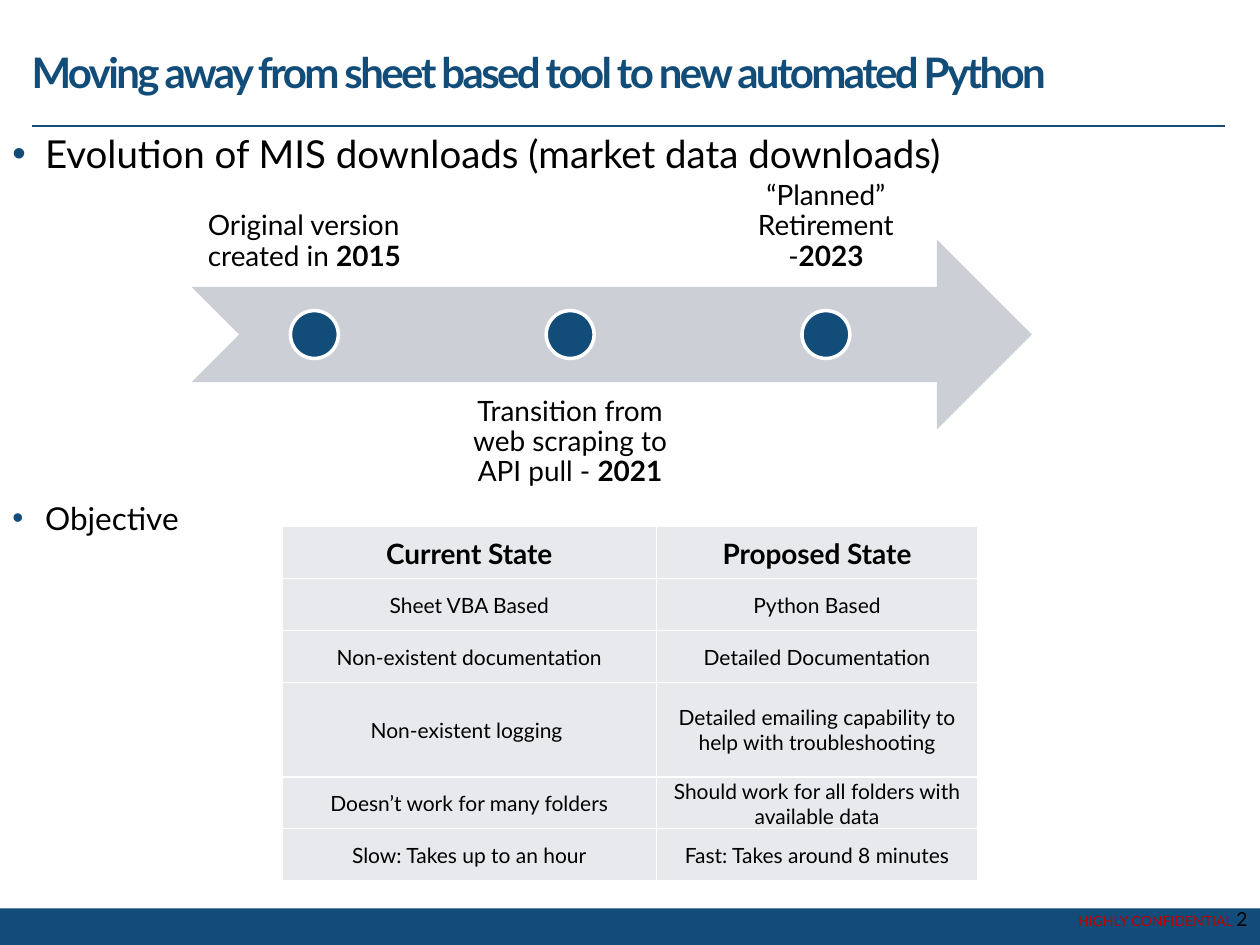
"""Build the slide on moving the market data downloads from sheets to Python."""
from lxml.etree import SubElement
from pptx import Presentation
from pptx.dml.color import RGBColor
from pptx.enum.shapes import MSO_CONNECTOR, MSO_SHAPE
from pptx.enum.text import MSO_ANCHOR, MSO_AUTO_SIZE, PP_ALIGN
from pptx.oxml.ns import qn
from pptx.util import Inches, Pt

NAVY, GREY, PALE, RED, BLACK, WHITE = "124C78", "CCD0D6", "E7E9EC", "C00000", "000000", "FFFFFF"
rgb = RGBColor.from_string

prs = Presentation()
prs.slide_width, prs.slide_height = Inches(10), Inches(7.5)
UNIT = prs.slide_width / 100


def grid(*cells):
    """Turn columns and rows, 100 by 75 to the slide, into lengths."""
    return [round(c * UNIT) for c in cells]


def add_run(p, text, size, color=BLACK, bold=False):
    """Append one formatted run to a paragraph."""
    r = p.add_run()
    r.text = text
    r.font.name, r.font.size, r.font.bold = "Lato", Pt(size), bold
    r.font.color.rgb = rgb(color)
    return r


s = prs.slides.add_slide(prs.slide_layouts[5])

title = s.shapes.title
title.left, title.top, title.width, title.height = grid(2.5, 1.4, 94.6, 8.6)
tf = title.text_frame
tf.margin_left = tf.margin_right = tf.margin_top = tf.margin_bottom = 0
tf.vertical_anchor, tf.auto_size, tf.word_wrap = MSO_ANCHOR.MIDDLE, MSO_AUTO_SIZE.NONE, True
p = tf.paragraphs[0]
p.alignment = PP_ALIGN.LEFT
r = add_run(p, "Moving away from sheet based tool to new automated Python", 24, NAVY, True)
r.font._element.set("spc", "-150")

rule = s.shapes.add_connector(MSO_CONNECTOR.STRAIGHT, *grid(2.5, 10, 97.2, 10))
rule.line.color.rgb, rule.line.width = rgb(NAVY), Pt(1)
SubElement(rule._element.spPr, qn("a:effectLst"))

dots = [(MSO_SHAPE.OVAL, (23.05 + 20.3 * i, 24.65, 3.8, 3.8), NAVY) for i in range(3)]
for kind, cells, fill in [
    (MSO_SHAPE.RECTANGLE, (0, 72.1, 100, 2.9), NAVY),
    (MSO_SHAPE.NOTCHED_RIGHT_ARROW, (15.2, 19, 66.7, 15.1), GREY),
    *dots,
]:
    sp = s.shapes.add_shape(kind, *grid(*cells))
    sp.shadow.inherit = False
    sp.fill.solid()
    sp.fill.fore_color.rgb = rgb(fill)
    if kind == MSO_SHAPE.OVAL:
        sp.line.color.rgb, sp.line.width = rgb(WHITE), Pt(2)
    else:
        sp.line.fill.background()

tf = s.shapes.add_textbox(*grid(0, 9.8, 100, 61.6)).text_frame
tf.word_wrap = True
for i, (text, size, before) in enumerate([
    ("Evolution of MIS downloads (market data downloads)", 22, 0),
    ("Objective", 18, 184.5),
]):
    p = tf.add_paragraph() if i else tf.paragraphs[0]
    p.space_before = Pt(before)
    add_run(p, text, size)
    pPr = p._p.get_or_add_pPr()
    pPr.set("marL", str(Inches(0.26)))
    pPr.set("indent", str(-Inches(0.26)))
    SubElement(SubElement(pPr, qn("a:buClr")), qn("a:srgbClr")).set("val", NAVY)
    SubElement(pPr, qn("a:buFont")).set("typeface", "Arial")
    SubElement(pPr, qn("a:buChar")).set("char", "•")

for i, (text, year, top, anchor, align) in enumerate([
    ("Original version created in ", "2015", 7.7, MSO_ANCHOR.BOTTOM, PP_ALIGN.LEFT),
    ("Transition from web scraping to API pull - ", "2021", 30.3, MSO_ANCHOR.TOP, PP_ALIGN.CENTER),
    ("“Planned” Retirement -", "2023", 7.7, MSO_ANCHOR.BOTTOM, PP_ALIGN.CENTER),
]):
    tf = s.shapes.add_textbox(*grid(15.3 + 20.3 * i, top, 19.3, 15.1)).text_frame
    tf.word_wrap, tf.vertical_anchor = True, anchor
    tf.margin_left = tf.margin_right = tf.margin_top = tf.margin_bottom = Inches(0.12)
    p = tf.paragraphs[0]
    p.alignment, p.line_spacing = align, 0.9
    add_run(p, text, 16)
    add_run(p, year, 16, bold=True)

rows = [
    ("Current State", "Proposed State"),
    ("Sheet VBA Based", "Python Based"),
    ("Non-existent documentation", "Detailed Documentation"),
    ("Non-existent logging ", "Detailed emailing capability to help with troubleshooting"),
    ("Doesn’t work for many folders", "Should work for all folders with available data"),
    ("Slow: Takes up to an hour", "Fast: Takes around 8 minutes"),
]
table = s.shapes.add_table(len(rows), 2, *grid(22.4, 41.8, 55.2, 28.1)).table
for column, width in zip(table.columns, grid(29.7, 25.5)):
    column.width = width
for row, height in zip(table.rows, grid(4.12, 4.12, 4.12, 7.5, 4.12, 4.12)):
    row.height = height
for i, texts in enumerate(rows):
    for j, text in enumerate(texts):
        cell = table.cell(i, j)
        cell.margin_left = cell.margin_right = cell.margin_top = Inches(0.01)
        cell.margin_bottom = 0
        cell.vertical_anchor = MSO_ANCHOR.MIDDLE
        for side in ("lnL", "lnR", "lnT", "lnB"):
            ln = SubElement(cell._tc.get_or_add_tcPr(), qn(f"a:{side}"), w=str(Pt(1)))
            SubElement(SubElement(ln, qn("a:solidFill")), qn("a:srgbClr")).set("val", WHITE)
        cell.fill.solid()
        cell.fill.fore_color.rgb = rgb(PALE)
        p = cell.text_frame.paragraphs[0]
        p.alignment = PP_ALIGN.CENTER
        add_run(p, text, 12 if i else 16, bold=i == 0)

tf = s.shapes.add_textbox(*grid(76.7, 71.4, 23.3, 3)).text_frame
tf.word_wrap, tf.vertical_anchor = True, MSO_ANCHOR.MIDDLE
p = tf.paragraphs[0]
p.alignment = PP_ALIGN.RIGHT
add_run(p, "HIGHLY CONFIDENTIAL ", 8, RED)
add_run(p, "2", 11)

prs.save("out.pptx")
